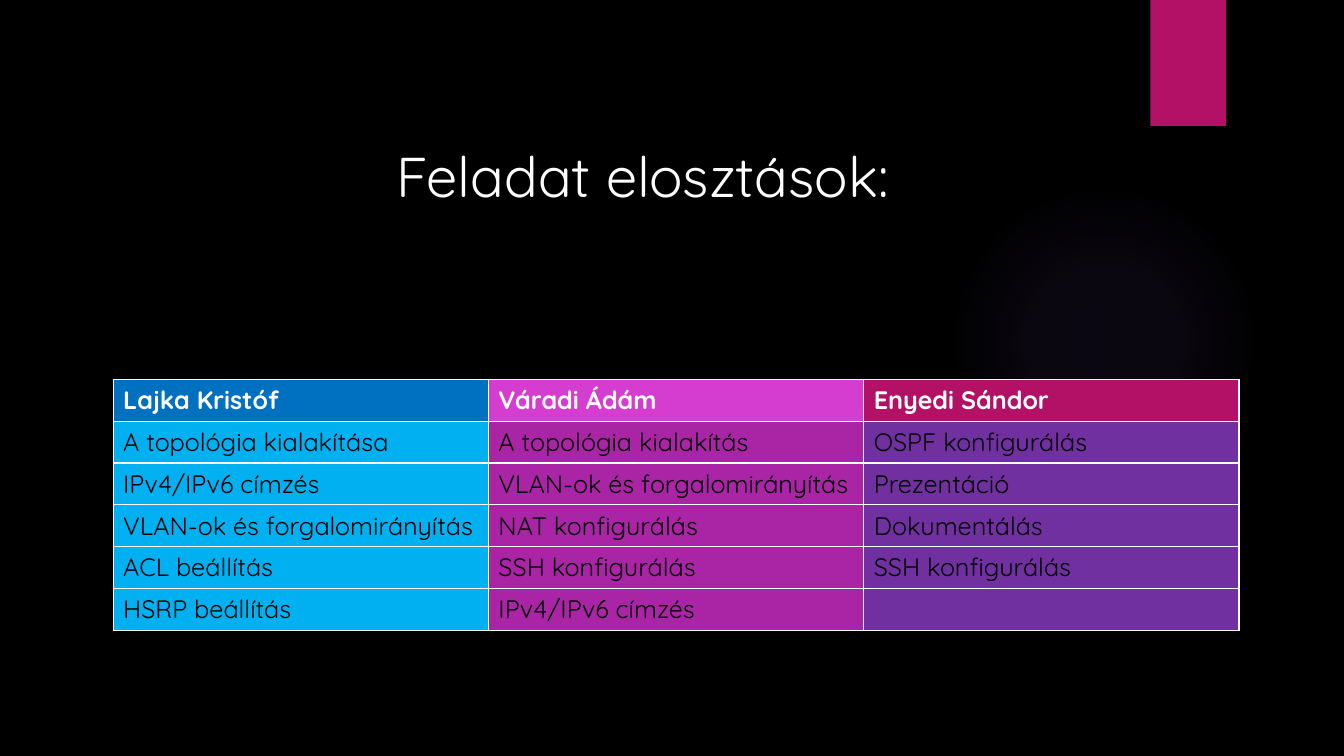
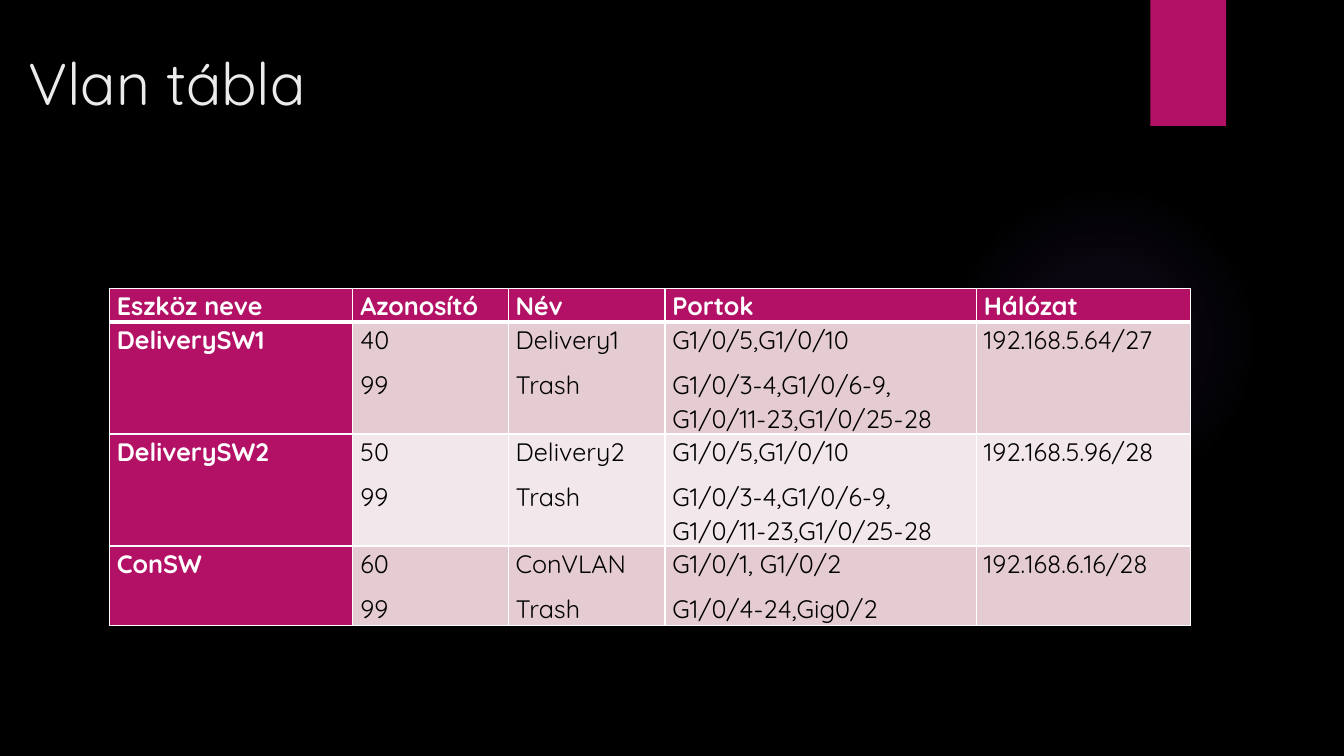
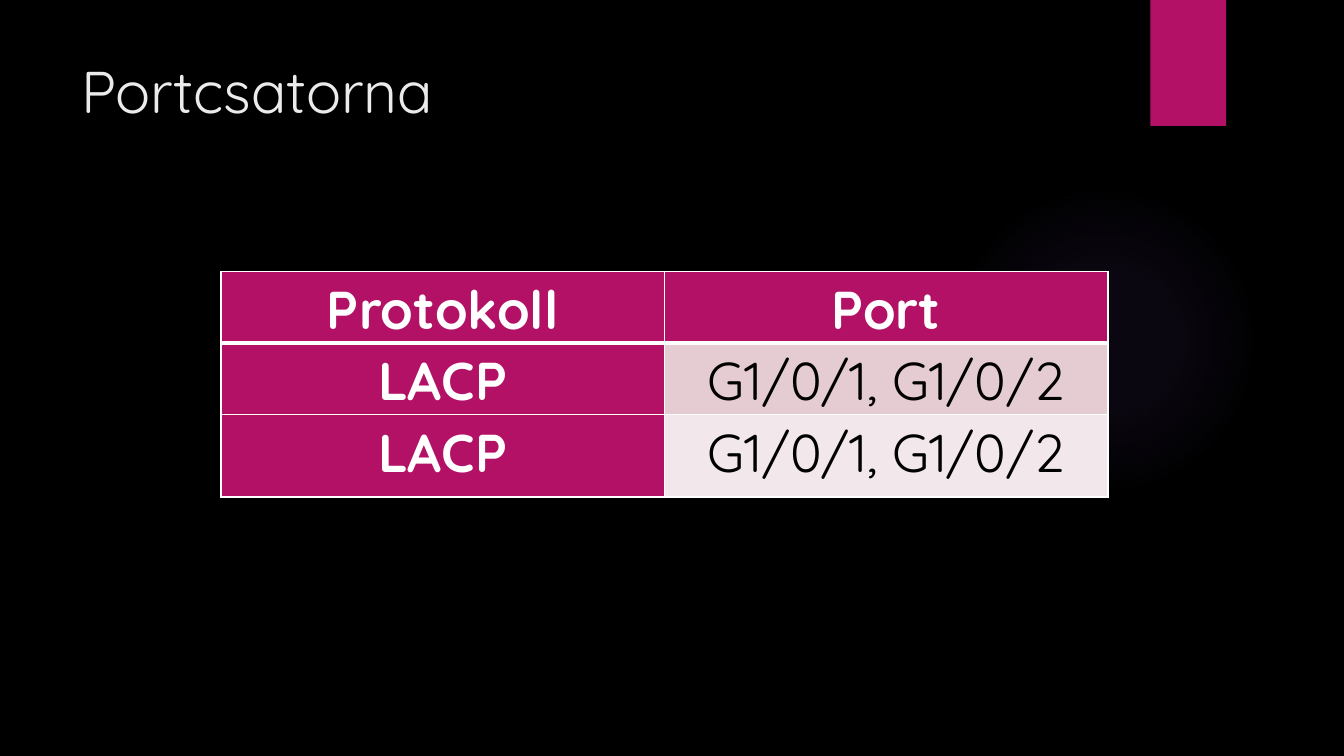
import pptx
import pptx.dml.color
import pptx.enum.shapes
import pptx.enum.text
import pptx.oxml
import pptx.util

Pt = pptx.util.Pt
RGB = pptx.dml.color.RGBColor
SHAPE = pptx.enum.shapes.MSO_SHAPE
ALIGN = pptx.enum.text.PP_ALIGN

FONT = "Quicksand"
BLACK = RGB(0x00, 0x00, 0x00)
WHITE = RGB(0xFF, 0xFF, 0xFF)
TITLE = RGB(0xEB, 0xEB, 0xEB)
MAGENTA = RGB(0xB3, 0x11, 0x66)
GLOW = RGB(0x9B, 0x6B, 0xF2)
BANDS = [RGB(0xE5, 0xCC, 0xD3), RGB(0xF2, 0xE7, 0xEA)]
TASK_HEADS = [RGB(0x00, 0x70, 0xC0), RGB(0xD5, 0x3D, 0xD0), MAGENTA]
TASK_BODIES = [RGB(0x00, 0xB0, 0xF0), RGB(0xA9, 0x25, 0xA5), RGB(0x70, 0x30, 0xA0)]

A_NS = 'xmlns:a="http://schemas.openxmlformats.org/drawingml/2006/main"'
GLOW_STOPS = [(0, 7), (36, 6), (69, 0)]

TASKS = [
    ["Lajka Kristóf", "Váradi Ádám", "Enyedi Sándor"],
    ["A topológia kialakítása", "A topológia kialakítás", "OSPF konfigurálás"],
    ["IPv4/IPv6 címzés", "VLAN-ok és forgalomirányítás", "Prezentáció"],
    ["VLAN-ok és forgalomirányítás", "NAT konfigurálás", "Dokumentálás"],
    ["ACL beállítás", "SSH konfigurálás", "SSH konfigurálás"],
    ["HSRP beállítás", "IPv4/IPv6 címzés", ""],
]
TRASH_PORTS = "G1/0/3-4,G1/0/6-9, G1/0/11-23,G1/0/25-28"
VLANS = [
    ["Eszköz neve", "Azonosító", "Név", "Portok", "Hálózat"],
    ["DeliverySW1", "40\n99", "Delivery1\nTrash",
     "G1/0/5,G1/0/10\n" + TRASH_PORTS, "192.168.5.64/27"],
    ["DeliverySW2", "50\n99", "Delivery2\nTrash",
     "G1/0/5,G1/0/10\n" + TRASH_PORTS, "192.168.5.96/28"],
    ["ConSW", "60\n99", "ConVLAN\nTrash",
     "G1/0/1, G1/0/2\nG1/0/4-24,Gig0/2", "192.168.6.16/28"],
]
CHANNELS = [
    ["Protokoll", "Port"],
    ["LACP", "G1/0/1, G1/0/2"],
    ["LACP", "G1/0/1, G1/0/2"],
]


def add_run(p, text, size, color, bold=False):
    r = p.add_run()
    r.text = text
    r.font.name = FONT
    r.font.size = Pt(size)
    r.font.bold = bold
    r.font.color.rgb = color


def add_plain_shape(s, kind, x, y, w, h):
    sp = s.shapes.add_shape(kind, Pt(x), Pt(y), Pt(w), Pt(h))
    sp.shadow.inherit = False
    sp.line.fill.background()
    return sp


def add_glow(s, x, y, size):
    """Circle whose violet fill fades out from its centre."""
    sp = add_plain_shape(s, SHAPE.OVAL, x, y, size, size)
    stops = "".join(
        f'<a:gs pos="{pos * 1000}"><a:srgbClr val="{GLOW}">'
        f'<a:alpha val="{alpha * 1000}"/></a:srgbClr></a:gs>'
        for pos, alpha in GLOW_STOPS)
    gradient = pptx.oxml.parse_xml(
        f'<a:gradFill {A_NS}><a:gsLst>{stops}</a:gsLst><a:path path="circle">'
        '<a:fillToRect l="50000" t="50000" r="50000" b="50000"/></a:path></a:gradFill>')
    sp.element.spPr.find(pptx.oxml.ns.qn("a:prstGeom")).addnext(gradient)


def new_slide(prs):
    s = prs.slides.add_slide(prs.slide_layouts[6])
    s.background.fill.solid()
    s.background.fill.fore_color.rgb = BLACK
    add_glow(s, 677.5, 131.8, 221.8)
    tab = add_plain_shape(s, SHAPE.RECTANGLE, 821.8, 0, 54, 90)
    tab.fill.solid()
    tab.fill.fore_color.rgb = MAGENTA
    return s


def add_title(s, text, x, y, w=741, h=110, size=42, color=TITLE, wrap=True):
    tf = s.shapes.add_textbox(Pt(x), Pt(y), Pt(w), Pt(h)).text_frame
    tf.word_wrap = wrap
    add_run(tf.paragraphs[0], text, size, color)


def set_borders(cell, top, bottom):
    tcPr = cell._tc.get_or_add_tcPr()
    widths = {"lnL": 1, "lnR": 1, "lnT": top, "lnB": bottom}
    for i, (tag, width) in enumerate(widths.items()):
        tcPr.insert(i, pptx.oxml.parse_xml(
            f'<a:{tag} {A_NS} w="{Pt(width)}"><a:solidFill>'
            f'<a:srgbClr val="{WHITE}"/></a:solidFill></a:{tag}>'))


def add_grid(s, x, y, widths, heights, rows, fill_of, size,
             head_column=False, head_rule=1, inset=None, align=None):
    """Bordered table; fill_of(row, column) gives each cell's colour."""
    table = s.shapes.add_table(len(rows), len(widths), Pt(x), Pt(y),
                               Pt(sum(widths)), Pt(sum(heights))).table
    table.first_row = table.horz_banding = False
    for column, width in zip(table.columns, widths):
        column.width = Pt(width)
    for i, (row, height) in enumerate(zip(rows, heights)):
        table.rows[i].height = Pt(height)
        for j, text in enumerate(row):
            cell = table.cell(i, j)
            cell.fill.solid()
            cell.fill.fore_color.rgb = fill_of(i, j)
            set_borders(cell, head_rule if i == 1 else 1, head_rule if i == 0 else 1)
            if inset is not None:
                cell.margin_left = cell.margin_right = Pt(inset)
                cell.margin_top = cell.margin_bottom = 0
            head = i == 0 or (head_column and j == 0)
            tf = cell.text_frame
            for k, line in enumerate(text.split("\n")):
                p = tf.add_paragraph() if k else tf.paragraphs[0]
                if align is not None:
                    p.alignment = align
                    p.line_spacing = 1.07
                    p.space_after = Pt(8)
                if line:
                    add_run(p, line, size, WHITE if head else BLACK, head)


def task_fill(i, j):
    return TASK_BODIES[j] if i else TASK_HEADS[j]


def banded_fill(i, j):
    return BANDS[(i - 1) % 2] if i and j else MAGENTA


def tasks_slide(prs):
    s = new_slide(prs)
    add_grid(s, 80.8, 271, [268.1] * 3, [29.9] * 6, TASKS, task_fill, 18)
    add_title(s, "Feladat elosztások:", 275.8, 97.3, 385, 55.5, 40, WHITE, wrap=False)


def vlan_slide(prs):
    s = new_slide(prs)
    add_title(s, "Vlan tábla", 13, 29.5)
    add_grid(s, 78, 206, [174, 111, 112, 222.5, 152.8], [24, 80, 80, 57], VLANS,
             banded_fill, 18, True, 3, 5.4, ALIGN.JUSTIFY)


def port_channel_slide(prs):
    s = new_slide(prs)
    add_title(s, "Portcsatorna", 51, 35.8)
    add_grid(s, 157.8, 194, [316.8] * 2, [51, 51, 59], CHANNELS,
             banded_fill, 38, True, 3, 11.5, ALIGN.CENTER)


def main():
    prs = pptx.Presentation()
    prs.slide_width, prs.slide_height = Pt(960), Pt(540)
    tasks_slide(prs)
    vlan_slide(prs)
    port_channel_slide(prs)
    prs.save("out.pptx")


if __name__ == "__main__":
    main()
